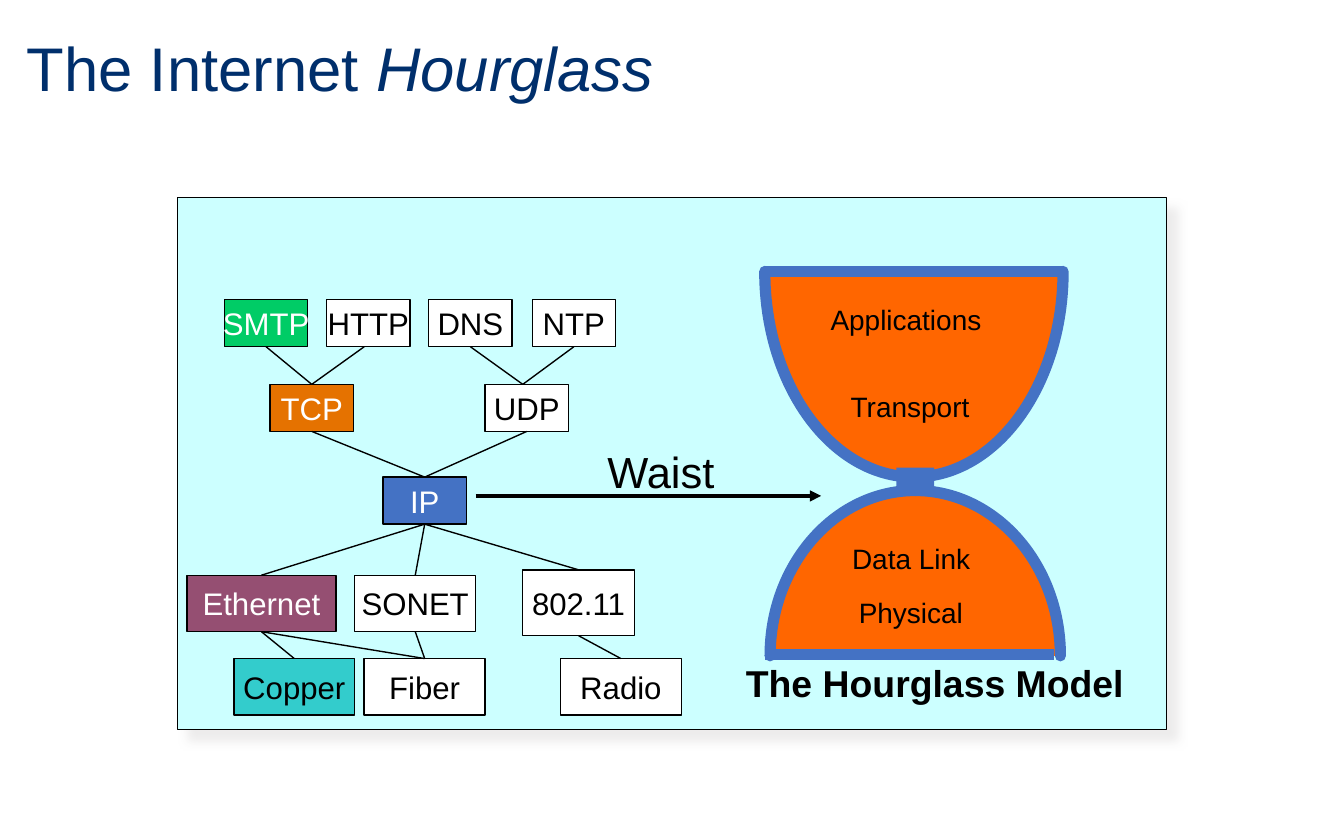
from copy import deepcopy

from pptx import Presentation
from pptx import util as u
from pptx.dml.color import RGBColor
from pptx.enum import shapes, text
from pptx.oxml import parse_xml
from pptx.oxml.ns import nsdecls, qn
from pptx.oxml.xmlchemy import OxmlElement

PX = 9144  # 100 px to the inch
ARC = 0.5523  # handle length of a quarter ellipse
BLACK, WHITE, BLUE, ORANGE = "000000", "FFFFFF", "4472C4", "FF6600"


def emu(px):
    return u.Emu(round(px * PX))


def paint(target, color):
    """Give a fill, line or font a solid colour."""
    if hasattr(target, "solid"):
        target.solid()
        target.fore_color.rgb = RGBColor.from_string(color)
    else:
        target.color.rgb = RGBColor.from_string(color)


def write(box, *parts, size, color=BLACK, bold=None, align=None, wrap=False,
          anchor=text.MSO_ANCHOR.TOP, spacing=None):
    """Write (words, italic) parts, or plain words, in one paragraph."""
    frame = box.text_frame
    frame.word_wrap = wrap
    frame.vertical_anchor = anchor
    frame.margin_left = frame.margin_right = emu(8)
    frame.margin_top = frame.margin_bottom = emu(4)
    para = frame.paragraphs[0]
    para.alignment = align
    para.line_spacing = spacing
    for part in parts:
        words, italic = part if isinstance(part, tuple) else (part, None)
        span = para.add_run()
        span.text = words
        span.font.name, span.font.size = "Arial", u.Pt(size)
        span.font.bold, span.font.italic = bold, italic
        paint(span.font, color)


def label(page, x, y, w, h, *parts, **style):
    write(page.shapes.add_textbox(emu(x), emu(y), emu(w), emu(h)), *parts, **style)


def rect(page, x, y, w, h, fill, line=BLACK):
    box = page.shapes.add_shape(shapes.MSO_SHAPE.RECTANGLE,
                                emu(x), emu(y), emu(w), emu(h))
    box.shadow.inherit = False
    paint(box.fill, fill)
    if line:
        paint(box.line, line)
        box.line.width = u.Pt(0.75)
    else:
        box.line.fill.background()
    return box


def join(page, x1, y1, x2, y2, color=BLACK, width=0.75, arrow=False):
    line = page.shapes.add_connector(shapes.MSO_CONNECTOR.STRAIGHT,
                                     emu(x1), emu(y1), emu(x2), emu(y2))
    paint(line.line, color)
    line.line.width = u.Pt(width)
    props = line._element.spPr
    if arrow:
        head = OxmlElement("a:tailEnd")
        head.set("type", "triangle")
        props.find(qn("a:ln")).append(head)
    props.append(OxmlElement("a:effectLst"))


def quarter(page, x, y, rx, ry):
    """Quarter ellipse around (x, y), outlined along its arc only."""
    builder = page.shapes.build_freeform(emu(x + rx), emu(y), scale=1.0)
    builder.add_line_segments([(emu(x), emu(y + ry)), (emu(x), emu(y))], close=True)
    shape = builder.convert_to_shape()
    shape.shadow.inherit = False
    paint(shape.fill, ORANGE)
    paint(shape.line, BLUE)
    shape.line.width = u.Pt(6)
    shape._element.spPr.find(qn("a:ln")).set("cap", "rnd")
    # Bend the first side into a curve
    sector = next(shape._element.iter(qn("a:path")))
    start, end, center = [(int(pt.get("x")), int(pt.get("y")))
                          for pt in sector.iter(qn("a:pt"))]
    curve = OxmlElement("a:cubicBezTo")
    for base, toward in ((start, end), (end, start), (end, center)):
        pull = 0 if toward is center else ARC
        pt = OxmlElement("a:pt")
        for name, b, t, c in zip("xy", base, toward, center):
            pt.set(name, str(round(b + pull * (t - c))))
        curve.append(pt)
    sector.replace(sector[1], curve)
    # Fill the sector, stroke the arc
    arc = deepcopy(sector)
    for edge in list(arc)[-2:]:
        arc.remove(edge)
    arc.set("fill", "none")
    sector.set("stroke", "0")
    sector.addprevious(arc)


def draw_title(page, x, y, w, h):
    label(page, x, y, w, h, "The Internet ", ("Hourglass", True), size=33,
          color="002F6C", wrap=True, anchor=text.MSO_ANCHOR.MIDDLE, spacing=0.9)


def draw_panel(page, x, y, w, h):
    panel = rect(page, x, y, w, h, "CCFFFF")
    panel._element.spPr.find(qn("a:effectLst")).append(parse_xml(
        f'<a:outerShdw {nsdecls("a")} blurRad="{u.Pt(5)}" dist="{u.Pt(8.5)}" dir="2700000" '
        'algn="tl" rotWithShape="0"><a:srgbClr val="E7E6E6"><a:alpha val="75000"/>'
        '</a:srgbClr></a:outerShdw>'))


def draw_hourglass(page, x, y):
    # Two bulbs, each of two quarters, with a flat edge and a waist
    for cx, cy, rx, ry in ((112, 286, 108, -123), (111, 0, 111, 153)):
        for side in (1, -1):
            quarter(page, x + cx, y + cy, side * rx, ry)
    join(page, x, y, x + 222, y, BLUE, 6)
    join(page, x, y + 285, x + 215, y + 285, BLUE, 6)
    rect(page, x + 98, y + 146, 28, 20, BLUE, line=None)
    # Layer names and caption
    for words, left, top, width in (("Data Link", 57, 197, 106), ("Physical", 62, 237, 95),
                                    ("Applications", 41, 19, 130), ("Transport", 56, 84, 106)):
        label(page, x + left, y + top, width, 33, words, size=15)
    label(page, x - 22, y + 285, 300, 42, "The Hourglass Model", size=20, bold=True)


def draw_protocols(page, x, y):
    # name: left, top, width, height, fill, text colour
    nodes = {
        "SMTP": (35, 76, 62, 35, "00CC66", WHITE),
        "HTTP": (111, 76, 62, 35, WHITE, BLACK),
        "NTP": (264, 76, 62, 35, WHITE, BLACK),
        "DNS": (187, 76, 62, 35, WHITE, BLACK),
        "TCP": (69, 139, 62, 35, "E57200", WHITE),
        "UDP": (229, 139, 62, 35, WHITE, BLACK),
        "IP": (153, 208, 62, 35, BLUE, WHITE),
        "Ethernet": (7, 281, 111, 42, "954F72", WHITE),
        "SONET": (132, 281, 90, 42, WHITE, BLACK),
        "802.11": (257, 277, 83, 49, WHITE, BLACK),
        "Fiber": (139, 343, 90, 42, WHITE, BLACK),
        "Copper": (42, 343, 90, 42, "33CCCC", BLACK),
        "Radio": (285, 343, 90, 42, WHITE, BLACK),
    }
    # upper node, lower node, nudges of the two ends
    links = (
        ("SMTP", "TCP", 0, 0), ("HTTP", "TCP", -3, 0),
        ("DNS", "UDP", 0, -3), ("NTP", "UDP", 0, -3),
        ("TCP", "IP", 0, 0), ("UDP", "IP", 0, 0),
        ("IP", "802.11", 0, 0), ("IP", "Ethernet", 0, 0), ("IP", "SONET", 0, 0),
        ("Ethernet", "Fiber", 0, 0), ("Ethernet", "Copper", 0, 0),
        ("802.11", "Radio", 0, 0), ("SONET", "Fiber", 0, 0),
    )
    for name, (left, top, width, height, fill, color) in nodes.items():
        box = rect(page, x + left, y + top, width, height, fill)
        write(box, name, size=16.7, color=color, align=text.PP_ALIGN.CENTER,
              anchor=text.MSO_ANCHOR.MIDDLE)
    for upper, lower, nudge_up, nudge_low in links:
        left, top, width, height = nodes[upper][:4]
        low_left, low_top, low_width = nodes[lower][:3]
        join(page, x + left + width / 2 + nudge_up, y + top + height,
             x + low_left + low_width / 2 + nudge_low, y + low_top)


def draw_waist(page, x, y, length):
    join(page, x, y, x + length, y, width=2, arrow=True)
    label(page, x + 90, y - 42, 146, 48, "Waist", size=23.3, wrap=True)


def main():
    deck = Presentation()
    deck.slide_width, deck.slide_height = emu(1000), emu(625)
    page = deck.slides.add_slide(deck.slide_layouts[6])
    draw_panel(page, 132, 147, 736, 396)
    draw_title(page, 12, 10, 852, 86)
    draw_hourglass(page, 569, 202)
    draw_waist(page, 354, 369, 257)
    draw_protocols(page, 132, 147)
    deck.save("out.pptx")


if __name__ == "__main__":
    main()
